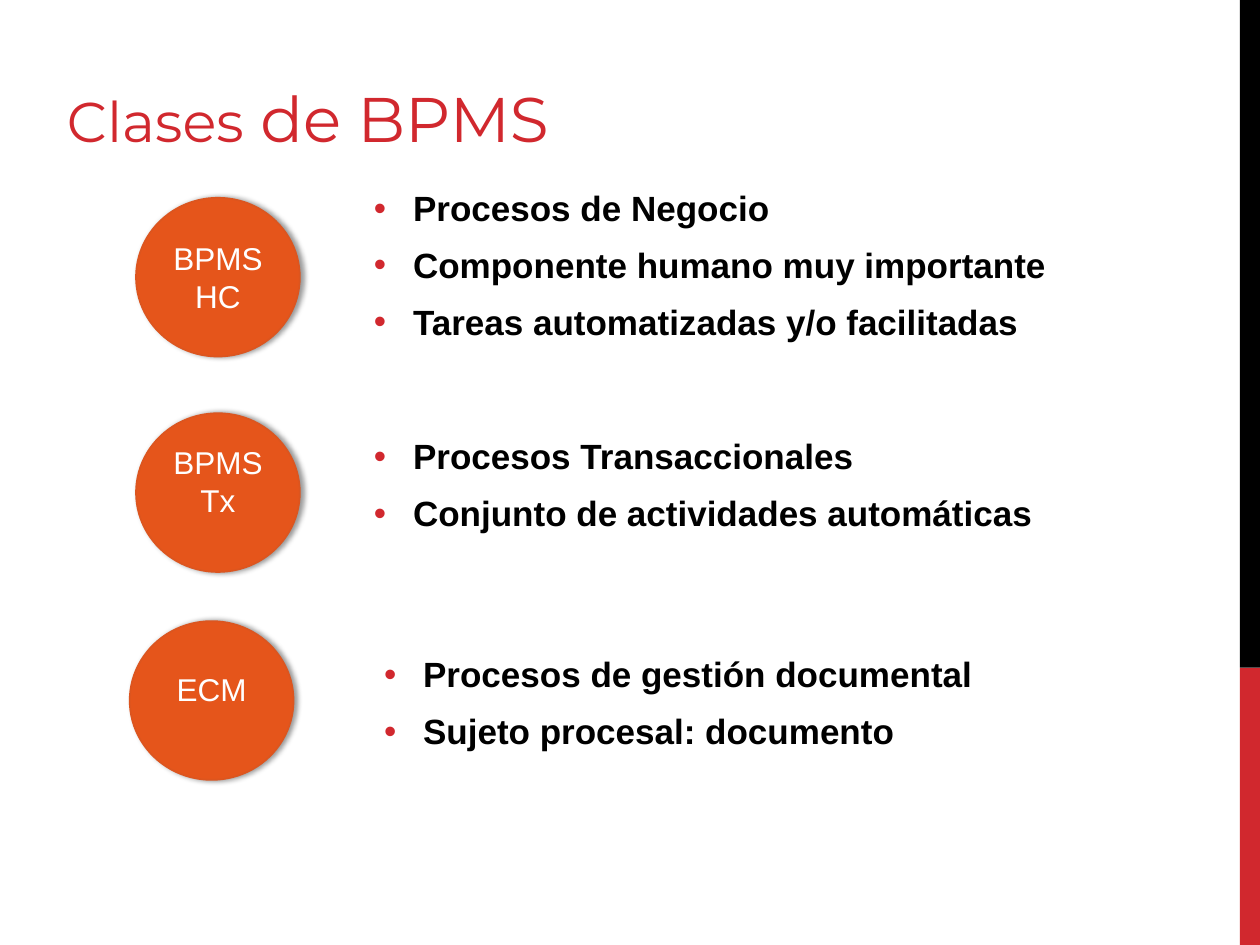
import dataclasses

import pptx
import pptx.dml.color
import pptx.enum.shapes
import pptx.enum.text
import pptx.oxml
import pptx.oxml.ns
import pptx.util

Inches, Pt = pptx.util.Inches, pptx.util.Pt
SHAPE = pptx.enum.shapes.MSO_SHAPE
ALIGN = pptx.enum.text.PP_ALIGN
ANCHOR = pptx.enum.text.MSO_ANCHOR
WIDTH, HEIGHT = 10, 7.5


@dataclasses.dataclass(frozen=True)
class Theme:
    """Colours, fonts and type sizes of the slide."""
    red: str = "D1282E"
    black: str = "000000"
    white: str = "FFFFFF"
    orange: str = "E5551B"
    outline: str = "DC551F"
    title_font: str = "Montserrat"
    body_font: str = "Arial"
    title_sizes: tuple = (32, 36)
    badge_size: int = 18
    body_size: int = 20


THEME = Theme()

CLASSES = [
    ((1.08, 1.57), ["BPMS", "HC"], 0.05, (2.87, 1.47),
     ["Procesos de Negocio", "Componente humano muy importante",
      "Tareas automatizadas y/o facilitadas"]),
    ((1.08, 3.28), ["BPMS", "Tx"], 0.23, (2.87, 3.44),
     ["Procesos Transaccionales", "Conjunto de actividades automáticas"]),
    ((1.03, 4.93), ["ECM"], 0.23, (2.95, 5.17),
     ["Procesos de gestión documental", "Sujeto procesal: documento"]),
]


def rgb(value):
    """Return the colour object of a hex value."""
    return pptx.dml.color.RGBColor.from_string(value)


def box(*lengths):
    """Return lengths in inches as slide units."""
    return [Inches(n) for n in lengths]


def style(font, name, size, color, bold=False):
    """Set the face, size, colour and weight of a font."""
    font.name, font.size, font.bold = name, Pt(size), bold
    font.color.rgb = rgb(color)


def write(tf, lines):
    """Fill a text frame with one paragraph a line and return them."""
    tf.text = "\n".join(lines)
    return tf.paragraphs


def add_band(s, top, height, color):
    """Add a part of the stripe along the right edge."""
    width = 0.016 * WIDTH
    sp = s.shapes.add_shape(SHAPE.RECTANGLE, *box(WIDTH - width, top, width, height))
    sp.shadow.inherit = False
    sp.fill.solid()
    sp.fill.fore_color.rgb = rgb(color)
    sp.line.fill.background()


def add_title(s, parts):
    """Place the title and give each part its own size."""
    sp = s.shapes.title
    sp.left, sp.top, sp.width, sp.height = box(0.43, 0.21, 8.6, 1.07)
    tf = sp.text_frame
    tf.vertical_anchor = ANCHOR.BOTTOM
    p = tf.paragraphs[0]
    p.alignment = ALIGN.LEFT
    for text, size in zip(parts, THEME.title_sizes):
        r = p.add_run()
        r.text = text
        style(r.font, THEME.title_font, size, THEME.red)


def add_shadow(sp):
    """Give a shape a soft shadow to the right."""
    sp.shadow.inherit = False
    effects = sp._element.spPr.find(pptx.oxml.ns.qn("a:effectLst"))
    effects.append(pptx.oxml.parse_xml(
        f'<a:outerShdw {pptx.oxml.ns.nsdecls("a")} blurRad="{Pt(3.1)}" '
        f'dist="{Pt(1.8)}" dir="0" rotWithShape="0"><a:srgbClr val="{THEME.black}">'
        '<a:alpha val="40000"/></a:srgbClr></a:outerShdw>'))


def add_badge(group, at, lines, bottom):
    """Add a round badge with centred lines."""
    sp = group.shapes.add_shape(SHAPE.OVAL, *box(*at, 1.3, 1.26))
    sp.fill.solid()
    sp.fill.fore_color.rgb = rgb(THEME.orange)
    sp.line.color.rgb = rgb(THEME.outline)
    sp.line.width = Pt(1)
    add_shadow(sp)
    tf = sp.text_frame
    tf.word_wrap = True
    tf.vertical_anchor = ANCHOR.MIDDLE
    tf.margin_left = tf.margin_right = 0
    tf.margin_bottom = Inches(bottom)
    for p in write(tf, lines):
        p.alignment = ALIGN.CENTER
        style(p.font, THEME.body_font, THEME.badge_size, THEME.white)


def add_bullet(p):
    """Give a paragraph a red bullet and a hanging indent."""
    pPr = p._p.get_or_add_pPr()
    indent = Inches(0.31)
    pPr.set("marL", str(indent))
    pPr.set("indent", str(-indent))
    ns = pptx.oxml.ns.nsdecls("a")
    marks = [f'<a:buClr {ns}><a:srgbClr val="{THEME.red}"/></a:buClr>',
             f'<a:buFont {ns} typeface="{THEME.body_font}"/>',
             f'<a:buChar {ns} char="•"/>']
    first_font = pPr.find(pptx.oxml.ns.qn("a:defRPr"))
    for mark in marks:
        first_font.addprevious(pptx.oxml.parse_xml(mark))


def add_points(group, at, lines):
    """Add the bulleted description of a class."""
    tf = group.shapes.add_textbox(*box(*at, 5.67, 1.49)).text_frame
    tf.word_wrap = True
    for p in write(tf, lines):
        p.line_spacing = 0.9
        p.space_before, p.space_after = Pt(4.8), Pt(6)
        style(p.font, THEME.body_font, THEME.body_size, THEME.black, True)
        add_bullet(p)


def main():
    """Build and save the slide."""
    prs = pptx.Presentation()
    prs.slide_width, prs.slide_height = box(WIDTH, HEIGHT)
    s = prs.slides.add_slide(prs.slide_layouts[5])
    split = 5.3
    add_band(s, split, HEIGHT - split, THEME.red)
    add_band(s, 0, split, THEME.black)
    add_title(s, ["Clases", " de BPMS"])
    for badge_at, name, bottom, points_at, points in CLASSES:
        group = s.shapes.add_group_shape()
        add_badge(group, badge_at, name, bottom)
        add_points(group, points_at, points)
    prs.save("out.pptx")


if __name__ == "__main__":
    main()
